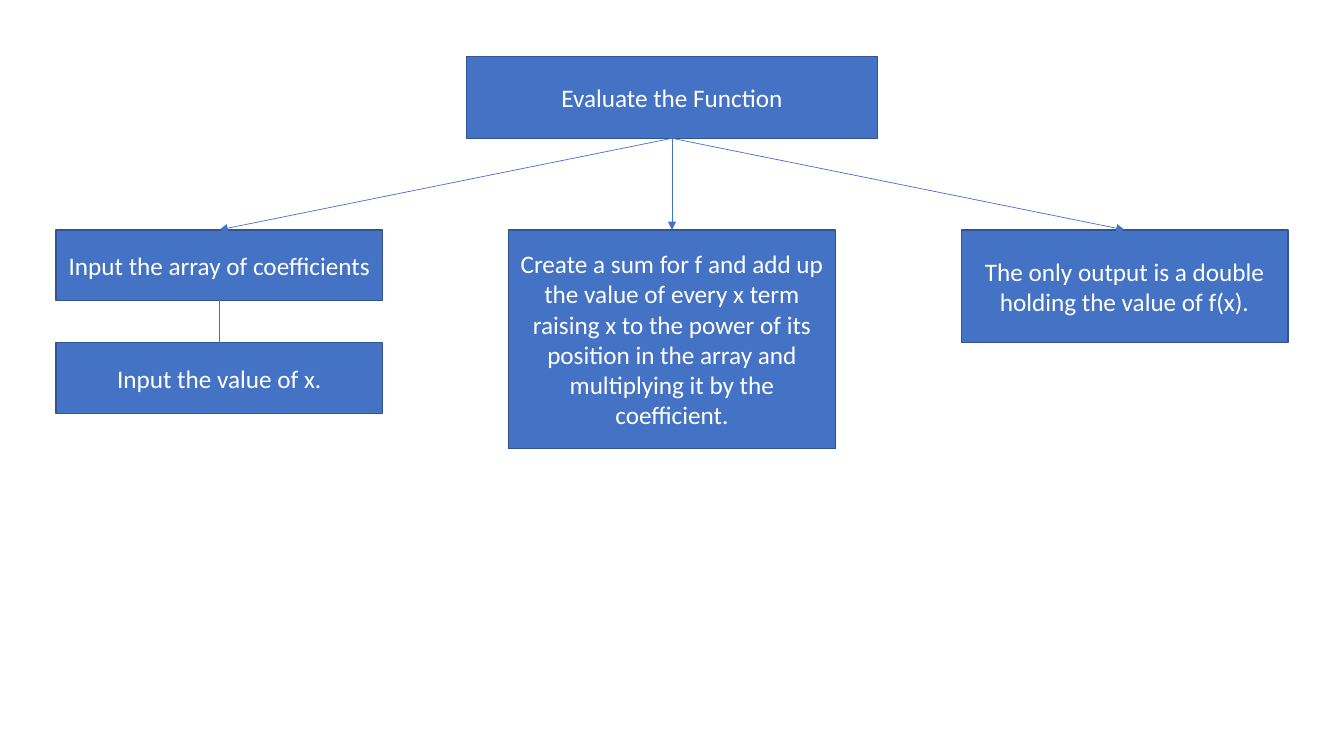
from lxml.etree import SubElement
from pptx import Presentation
from pptx.dml.color import RGBColor
from pptx.enum.shapes import MSO_CONNECTOR as Connector, MSO_SHAPE as Shape
from pptx.enum.text import MSO_ANCHOR as Anchor, PP_ALIGN as Align
from pptx.oxml.ns import qn
from pptx.util import Pt

BLUE = RGBColor(0x44, 0x72, 0xC4)
DARK_BLUE = RGBColor(0x32, 0x54, 0x91)
WHITE = RGBColor(0xFF, 0xFF, 0xFF)

CENTER = 480
COLUMN_STEP = 323.3
STEP_WIDTH = 233.3
STEP_TOP = 164.2
INPUT_HEIGHT = 50.4
BOTTOM, TOP = 2, 0

FRAME_FORMAT = {"word_wrap": True, "vertical_anchor": Anchor.MIDDLE}
FONT_FORMAT = {"name": "Calibri", "size": Pt(18)}


def apply_format(target, values):
    """Set each attribute named in values on the target."""
    for name, value in values.items():
        setattr(target, name, value)


def add_box(slide, text, center, top, width, height):
    """Add a blue rectangle with centred text around a horizontal centre."""
    shape = slide.shapes.add_shape(
        Shape.RECTANGLE, Pt(center - width / 2), Pt(top), Pt(width), Pt(height))
    shape.shadow.inherit = False
    shape.fill.solid()
    shape.fill.fore_color.rgb = BLUE
    shape.line.color.rgb = DARK_BLUE
    shape.line.width = Pt(1)
    apply_format(shape.text_frame, FRAME_FORMAT)
    paragraph = shape.text_frame.paragraphs[0]
    paragraph.text = text
    paragraph.alignment = Align.CENTER
    apply_format(paragraph.font, FONT_FORMAT)
    paragraph.font.color.rgb = WHITE
    return shape


def join(slide, upper, lower, arrow=True):
    """Connect the bottom of one box to the top of another."""
    connector = slide.shapes.add_connector(Connector.STRAIGHT, 0, 0, 0, 0)
    connector.begin_connect(upper, BOTTOM)
    connector.end_connect(lower, TOP)
    connector.line.color.rgb = BLUE
    connector.line.width = Pt(0.5)
    properties = connector._element.spPr
    if arrow:
        SubElement(properties.find(qn("a:ln")), qn("a:tailEnd"), type="triangle")
    SubElement(properties, qn("a:effectLst"))


def main():
    """Build the function evaluation diagram."""
    presentation = Presentation()
    presentation.slide_width, presentation.slide_height = Pt(960), Pt(540)
    slide = presentation.slides.add_slide(presentation.slide_layouts[6])

    title = add_box(slide, "Evaluate the Function", CENTER, 40.3, 293.3, 58.5)
    steps = [
        ("Input the array of coefficients", INPUT_HEIGHT),
        ("Create a sum for f and add up the value of every x term raising x to "
         "the power of its position in the array and multiplying it by the "
         "coefficient.", 156.2),
        ("The only output is a double holding the value of f(x).", 80.6),
    ]
    boxes = []
    for column, (text, height) in enumerate(steps):
        center = CENTER + (column - 1) * COLUMN_STEP
        box = add_box(slide, text, center, STEP_TOP, STEP_WIDTH, height)
        join(slide, title, box)
        boxes.append(box)

    value_input = add_box(slide, "Input the value of x.", CENTER - COLUMN_STEP,
                          244.8, STEP_WIDTH, INPUT_HEIGHT)
    join(slide, boxes[0], value_input, arrow=False)
    presentation.save("out.pptx")


if __name__ == "__main__":
    main()
